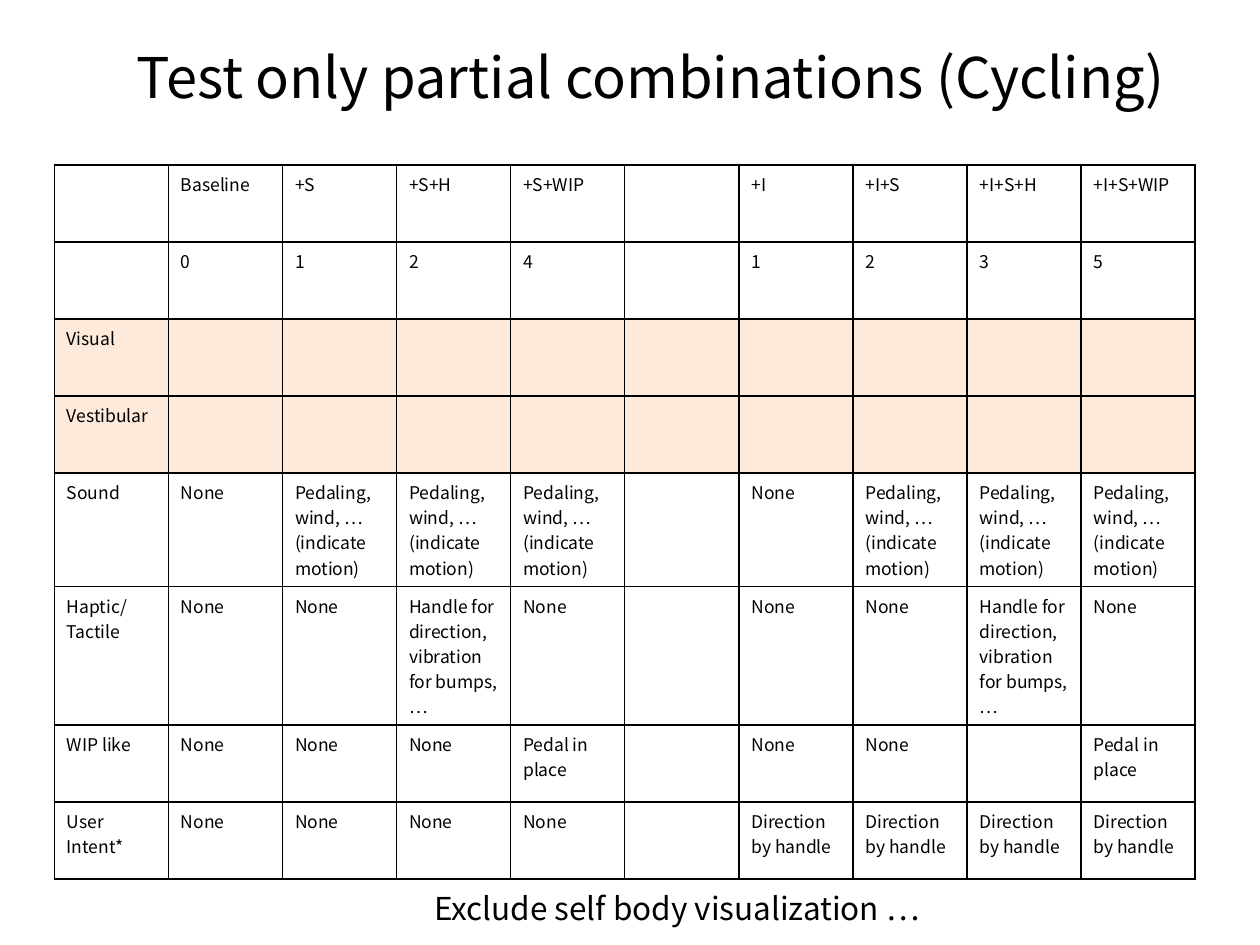
from lxml import etree
from pptx import Presentation
from pptx.dml.color import RGBColor
from pptx.enum.text import MSO_ANCHOR, MSO_AUTO_SIZE
from pptx.oxml.ns import qn
from pptx.util import Pt

TOP = MSO_ANCHOR.TOP
GROW = MSO_AUTO_SIZE.SHAPE_TO_FIT_TEXT
FONT = "Noto Sans CJK KR"
BLACK, PEACH = "000000", "FDEADA"


def rgb(code):
    return RGBColor.from_string(code)


def write(para, text, size):
    """Add the text in runs, with a line break at each newline."""
    for n, line in enumerate(text.split("\n")):
        if n:
            para.add_line_break()
        run = para.add_run()
        run.text = line
        run.font.size = Pt(size)
        run.font.name = FONT
        run.font.color.rgb = rgb(BLACK)
        east = etree.SubElement(run.font._element, qn("a:ea"))
        east.set("typeface", FONT)


prs = Presentation()
prs.slide_width, prs.slide_height = Pt(720), Pt(540)
slide = prs.slides.add_slide(prs.slide_layouts[6])

# Title
title = slide.shapes.add_textbox(Pt(71), Pt(21), Pt(607), Pt(53.5))
frame = title.text_frame
frame.word_wrap = True
frame.vertical_anchor = TOP
write(frame.paragraphs[0], "Test only partial combinations (Cycling)", 32)

# Table content: one row per sense, one column per condition
NONE = "None"
SOUND = "Pedaling, wind, … (indicate motion)"
GRIP = "Handle for direction, vibration for bumps, …"
PEDAL = "Pedal in place"
STEER = "Direction by handle"
rows = [
    ["", "Baseline", "+S", "+S+H", "+S+WIP", "", "+I", "+I+S", "+I+S+H", "+I+S+WIP"],
    ["", "0", "1", "2", "4", "", "1", "2", "3", "5"],
    ["Visual"] + [""] * 9,
    ["Vestibular"] + [""] * 9,
    ["Sound", NONE, SOUND, SOUND, SOUND, "", NONE, SOUND, SOUND, SOUND],
    ["Haptic/\nTactile", NONE, NONE, GRIP, NONE, "", NONE, NONE, GRIP, NONE],
    ["WIP like", NONE, NONE, NONE, PEDAL, "", NONE, NONE, "", PEDAL],
    ["User Intent*"] + [NONE] * 4 + [""] + [STEER] * 4,
]
shaded = ("Visual", "Vestibular")

# Row heights leave room for four lines of sound and five of touch
wide = 65.2
highs = [44] * 4 + [65, 79] + [44] * 2
count = len(rows[0])

# Table
table = slide.shapes.add_table(
    len(rows), count, Pt(31), Pt(94.3), Pt(wide * count), Pt(sum(highs))
).table
table.first_row = table.horz_banding = False
for col in table.columns:
    col.width = Pt(wide)
for r, (row, high) in enumerate(zip(rows, highs)):
    table.rows[r].height = Pt(high)
    for c, text in enumerate(row):
        cell = table.cell(r, c)
        if text:
            write(cell.text_frame.paragraphs[0], text, 10)
        # Borders come before the fill in the cell properties
        props = cell._tc.get_or_add_tcPr()
        for side in ("a:lnL", "a:lnR", "a:lnT", "a:lnB"):
            line = etree.SubElement(props, qn(side), w=str(Pt(1)))
            solid = etree.SubElement(line, qn("a:solidFill"))
            etree.SubElement(solid, qn("a:srgbClr"), val=BLACK)
        if row[0] in shaded:
            cell.fill.solid()
            cell.fill.fore_color.rgb = rgb(PEACH)
        else:
            cell.fill.background()

# Closing note, below the table
note = slide.shapes.add_textbox(Pt(241), Pt(504.5), Pt(300), Pt(29))
frame = note.text_frame
frame.word_wrap = True
frame.auto_size = GROW
write(frame.paragraphs[0], "Exclude self body visualization …", 18)

prs.save("out.pptx")
